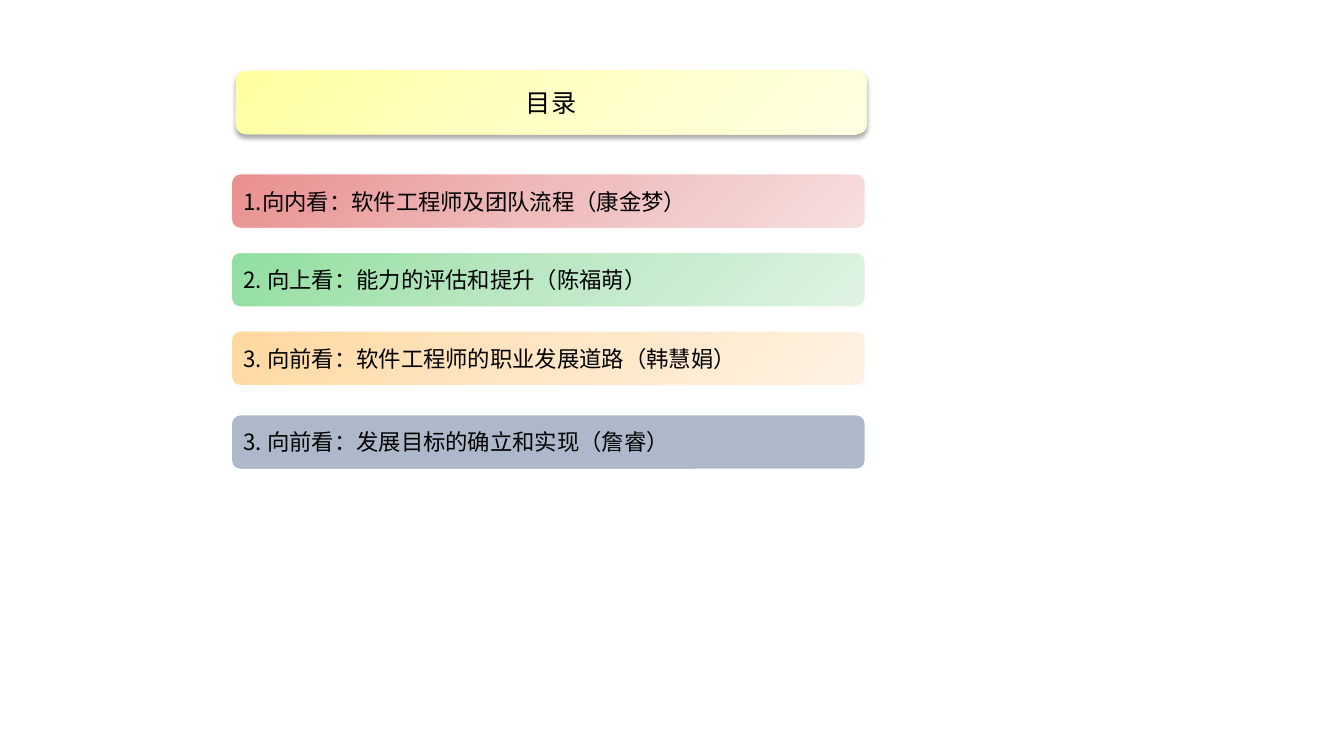
import copy
from dataclasses import dataclass

import lxml.etree
import pptx
import pptx.dml.color
import pptx.enum.shapes
import pptx.enum.text
import pptx.oxml.ns
import pptx.shapes.autoshape
import pptx.slide
import pptx.util

Cm = pptx.util.Cm
Pt = pptx.util.Pt
qn = pptx.oxml.ns.qn
Align = pptx.enum.text.PP_ALIGN
Shape = pptx.shapes.autoshape.Shape


@dataclass(frozen=True)
class Theme:
    font: str = "Noto Sans CJK SC"
    head: float = 18
    body: float = 16
    ink: str = "000000"
    edge: str = "FFFFFF"
    yellow: tuple[str, ...] = ("FFFFA0", "FFFFC5", "FFFFE3")
    red: tuple[str, ...] = ("E98F8F", "EFBCBC", "F7DEDE")
    green: tuple[str, ...] = ("91DEA0", "BDE8C5", "DFF3E3")
    orange: tuple[str, ...] = ("FFD8A0", "FFE6C5", "FFF2E3")
    slate: tuple[str, ...] = ("ADB9CA",)


@dataclass(frozen=True)
class Bar:
    text: str
    tints: tuple[str, ...]
    left: float
    top: float
    width: float
    height: float
    size: float
    align: Align


THEME = Theme()
LEFT, TOP, PITCH = 5.82, 4.37, 1.98
LAST_GAP = 0.13

TOPICS = [
    ("1.向内看：软件工程师及团队流程（康金梦）", THEME.red, 0),
    ("2. 向上看：能力的评估和提升（陈福萌）", THEME.green, 0),
    ("3. 向前看：软件工程师的职业发展道路（韩慧娟）", THEME.orange, 0),
    ("3. 向前看：发展目标的确立和实现（詹睿）", THEME.slate, LAST_GAP),
]


def color(code: str) -> pptx.dml.color.RGBColor:
    return pptx.dml.color.RGBColor.from_string(code)


def paint(shape: Shape, tints: tuple[str, ...]) -> None:
    """Fill with one flat tint, or blend evenly spaced tints down to the right."""
    fill = shape.fill
    if len(tints) == 1:
        fill.solid()
        fill.fore_color.rgb = color(tints[0])
        return
    fill.gradient()
    fill.gradient_angle = 315
    stops = next(shape.element.iter(qn("a:gsLst")))
    while len(stops) < len(tints):
        stops.append(copy.deepcopy(stops[0]))
    for i, (stop, tint) in enumerate(zip(fill.gradient_stops, tints)):
        stop.color.rgb = color(tint)
        stop.position = i / (len(tints) - 1)


def write(shape: Shape, bar: Bar) -> None:
    frame = shape.text_frame
    frame.word_wrap = True
    frame.vertical_anchor = pptx.enum.text.MSO_ANCHOR.MIDDLE
    para = frame.paragraphs[0]
    para.alignment = bar.align
    run = para.add_run()
    run.text = bar.text
    run.font.size = Pt(bar.size)
    run.font.color.rgb = color(THEME.ink)
    run.font.name = THEME.font
    props = run.font._element
    lxml.etree.SubElement(props, qn("a:ea"), typeface=THEME.font)


def draw(slide: pptx.slide.Slide, bar: Bar) -> Shape:
    shape = slide.shapes.add_shape(
        pptx.enum.shapes.MSO_SHAPE.ROUNDED_RECTANGLE,
        Cm(bar.left), Cm(bar.top), Cm(bar.width), Cm(bar.height),
    )
    shape.shadow.inherit = False
    paint(shape, bar.tints)
    write(shape, bar)
    return shape


def shade(shape: Shape) -> None:
    """Add a soft shadow just below the shape."""
    effects = next(shape.element.iter(qn("a:effectLst")))
    outer = lxml.etree.SubElement(
        effects, qn("a:outerShdw"), blurRad=str(Pt(3.5)), dist=str(Pt(2.2)),
        dir="5400000", algn="ctr", rotWithShape="0",
    )
    tone = lxml.etree.SubElement(outer, qn("a:srgbClr"), val=THEME.ink)
    lxml.etree.SubElement(tone, qn("a:alpha"), val="32000")


def main() -> None:
    deck = pptx.Presentation()
    deck.slide_width, deck.slide_height = Cm(33.87), Cm(19.05)
    slide = deck.slides.add_slide(deck.slide_layouts[6])

    title = draw(slide, Bar("目录", THEME.yellow, 5.94, 1.78, 15.9, 1.6,
                            THEME.head, Align.CENTER))
    title.line.fill.background()
    shade(title)

    for i, (text, tints, gap) in enumerate(TOPICS):
        topic = draw(slide, Bar(text, tints, LEFT, TOP + i * PITCH + gap, 16, 1.4,
                                THEME.body, Align.LEFT))
        topic.line.color.rgb = color(THEME.edge)
        topic.line.width = Pt(1.5)

    deck.save("out.pptx")


if __name__ == "__main__":
    main()
